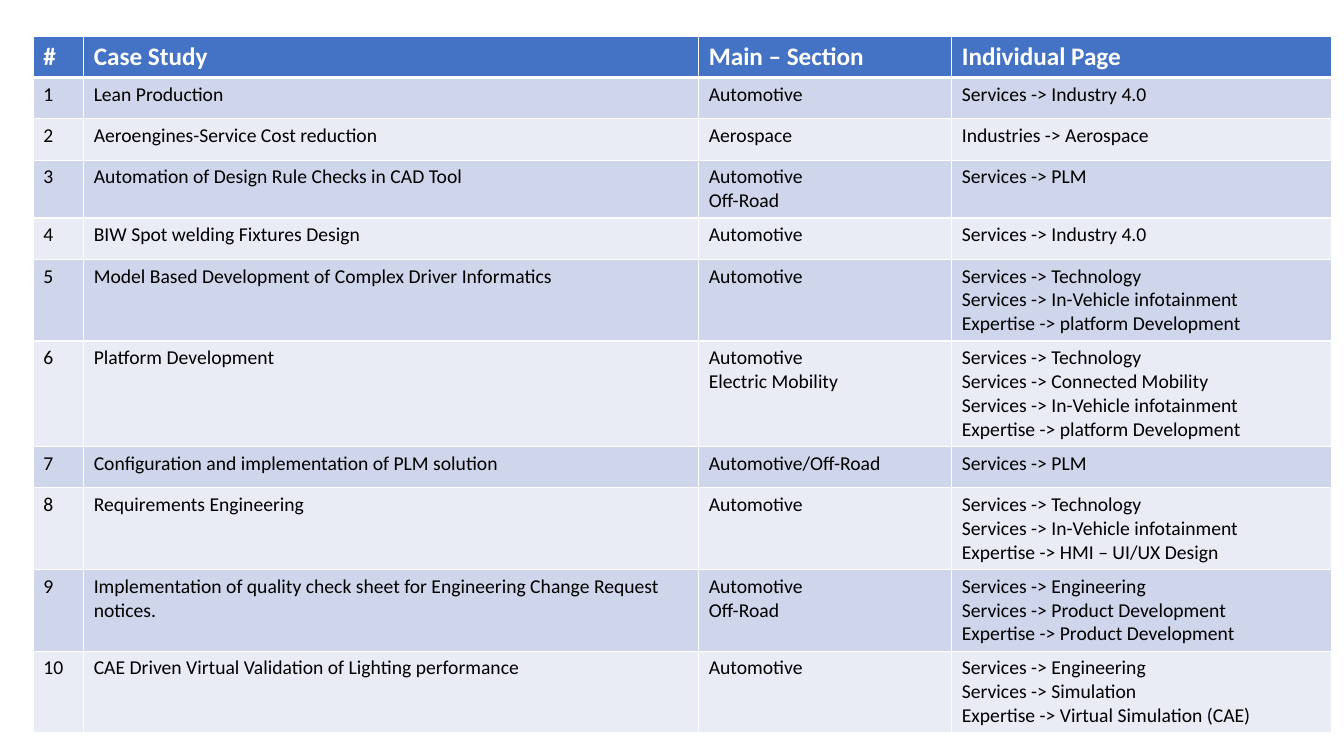
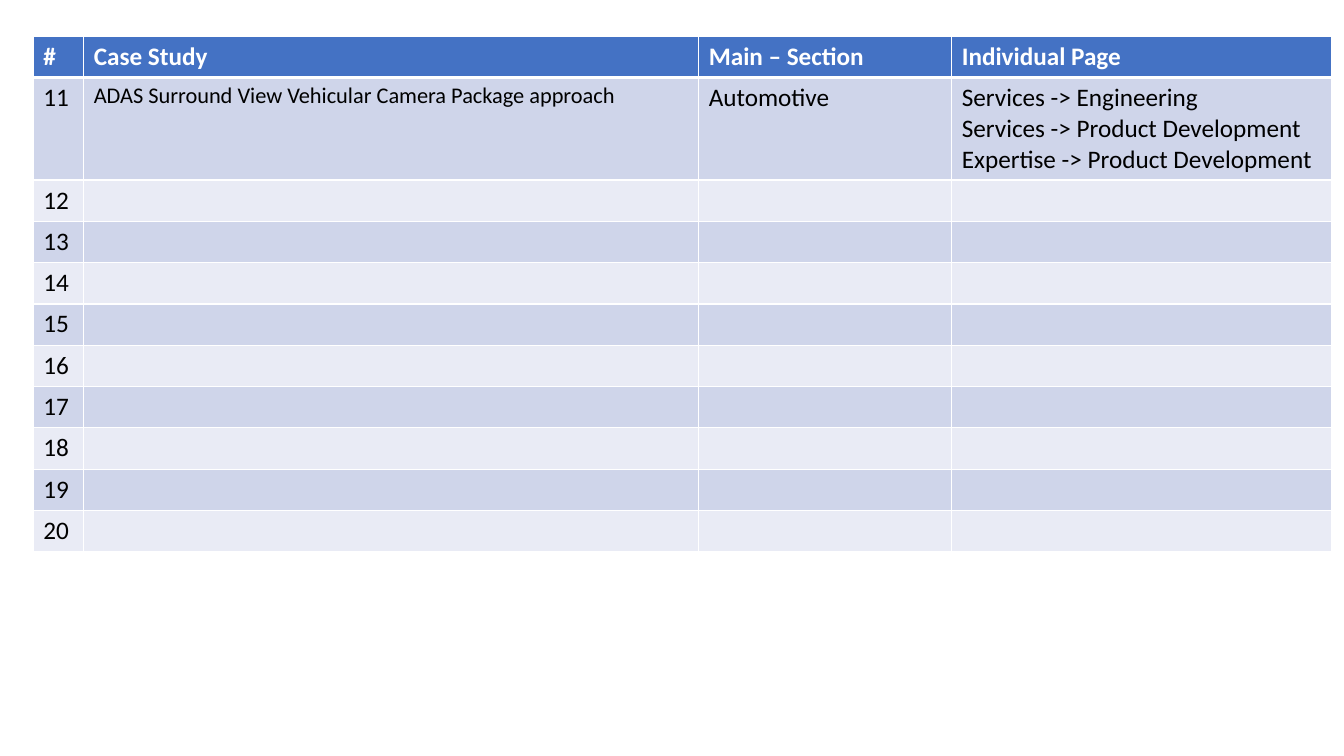
from dataclasses import dataclass

from lxml.etree import SubElement
from pptx import Presentation
from pptx.dml.color import RGBColor
from pptx.oxml.ns import qn
from pptx.presentation import Presentation as Deck
from pptx.table import _Cell as Cell
from pptx.util import Inches, Pt

# Shared style
WHITE = RGBColor(0xFF, 0xFF, 0xFF)
BLACK = RGBColor(0x00, 0x00, 0x00)
HEADER_BLUE = RGBColor(0x44, 0x72, 0xC4)
BANDS = (RGBColor(0xCF, 0xD5, 0xEA), RGBColor(0xE9, 0xEB, 0xF5))
FONT = "Calibri"
HEADER_SIZE = 18
THIN, THICK = 1, 3

# Shared table layout
LEFT, TOP = 0.33, 0.36
COLUMN_WIDTHS = (0.5, 6.1, 2.51, 3.77)
ROW_HEIGHT = 0.41
HEADINGS = ("#", "Case Study", "Main – Section", "Individual Page")


@dataclass(frozen=True)
class CaseStudy:
    title: str = ""
    sections: tuple[str, ...] = ()
    pages: tuple[str, ...] = ()


@dataclass(frozen=True)
class CaseList:
    first_number: int
    text_size: int
    title_size: int
    cases: tuple[CaseStudy, ...]


# Contents
AUTOMOTIVE = ("Automotive",)
AUTOMOTIVE_OFF_ROAD = ("Automotive", "Off-Road")
INDUSTRY = ("Services -> Industry 4.0",)
PLM = ("Services -> PLM",)
TECHNOLOGY = "Services -> Technology"
INFOTAINMENT = "Services -> In-Vehicle infotainment"
PLATFORM = "Expertise -> platform Development"
ENGINEERING = "Services -> Engineering"
PRODUCT = (ENGINEERING, "Services -> Product Development",
           "Expertise -> Product Development")

CASE_LISTS = (
    CaseList(1, 14, 14, (
        CaseStudy("Lean Production", AUTOMOTIVE, INDUSTRY),
        CaseStudy("Aeroengines-Service Cost reduction", ("Aerospace",),
                  ("Industries -> Aerospace",)),
        CaseStudy("Automation of Design Rule Checks in CAD Tool",
                  AUTOMOTIVE_OFF_ROAD, PLM),
        CaseStudy("BIW Spot welding Fixtures Design", AUTOMOTIVE, INDUSTRY),
        CaseStudy("Model Based Development of Complex Driver Informatics",
                  AUTOMOTIVE, (TECHNOLOGY, INFOTAINMENT, PLATFORM)),
        CaseStudy("Platform Development", ("Automotive", "Electric Mobility"),
                  (TECHNOLOGY, "Services -> Connected Mobility",
                   INFOTAINMENT, PLATFORM)),
        CaseStudy("Configuration and implementation of PLM solution",
                  ("Automotive/Off-Road",), PLM),
        CaseStudy("Requirements Engineering", AUTOMOTIVE,
                  (TECHNOLOGY, INFOTAINMENT,
                   "Expertise -> HMI – UI/UX Design")),
        CaseStudy("Implementation of quality check sheet for Engineering "
                  "Change Request notices.", AUTOMOTIVE_OFF_ROAD, PRODUCT),
        CaseStudy("CAE Driven Virtual Validation of Lighting performance",
                  AUTOMOTIVE, (ENGINEERING, "Services -> Simulation",
                               "Expertise -> Virtual Simulation (CAE)")),
    )),
    CaseList(11, 18, 16, (
        CaseStudy("ADAS Surround View Vehicular Camera Package approach",
                  AUTOMOTIVE, PRODUCT),
        *(CaseStudy() for _ in range(9)),
    )),
)


def set_borders(cell: Cell, top: int, bottom: int) -> None:
    """Draw white cell edges, with widths in points."""
    properties = cell._tc.get_or_add_tcPr()
    widths = {"a:lnL": THIN, "a:lnR": THIN, "a:lnT": top, "a:lnB": bottom}
    for edge, width in widths.items():
        line = SubElement(properties, qn(edge), w=str(Pt(width)))
        fill = SubElement(line, qn("a:solidFill"))
        SubElement(fill, qn("a:srgbClr"), val=str(WHITE))


def write_lines(cell: Cell, lines: tuple[str, ...], size: int,
                color: RGBColor, bold: bool) -> None:
    """Write one paragraph per line."""
    for index, line in enumerate(lines):
        frame = cell.text_frame
        para = frame.add_paragraph() if index else frame.paragraphs[0]
        span = para.add_run()
        span.text = line
        span.font.name = FONT
        span.font.size = Pt(size)
        span.font.bold = bold
        span.font.color.rgb = color


def add_case_page(deck: Deck, case_list: CaseList) -> None:
    page = deck.slides.add_slide(deck.slide_layouts[6])
    row_count = len(case_list.cases) + 1
    table = page.shapes.add_table(
        row_count, len(COLUMN_WIDTHS), Inches(LEFT), Inches(TOP),
        Inches(sum(COLUMN_WIDTHS)), Inches(ROW_HEIGHT * row_count)).table
    for column, width in zip(table.columns, COLUMN_WIDTHS):
        column.width = Inches(width)
    for row in table.rows:
        row.height = Inches(ROW_HEIGHT)

    # Header row
    for cell, heading in zip(table.rows[0].cells, HEADINGS):
        set_borders(cell, THIN, THICK)
        cell.fill.solid()
        cell.fill.fore_color.rgb = HEADER_BLUE
        write_lines(cell, (heading,), HEADER_SIZE, WHITE, True)

    # Numbered, banded case rows
    size = case_list.text_size
    sizes = (size, case_list.title_size, size, size)
    for index, case in enumerate(case_list.cases):
        number = str(case_list.first_number + index)
        titles = (case.title,) if case.title else ()
        columns = ((number,), titles, case.sections, case.pages)
        cells = table.rows[index + 1].cells
        for cell, lines, text_size in zip(cells, columns, sizes):
            set_borders(cell, THIN if index else THICK, THIN)
            cell.fill.solid()
            cell.fill.fore_color.rgb = BANDS[index % 2]
            write_lines(cell, lines, text_size, BLACK, False)


def main() -> None:
    deck = Presentation()
    deck.slide_width = Inches(13.33)
    deck.slide_height = Inches(7.5)
    for case_list in CASE_LISTS:
        add_case_page(deck, case_list)
    deck.save("out.pptx")


main()
